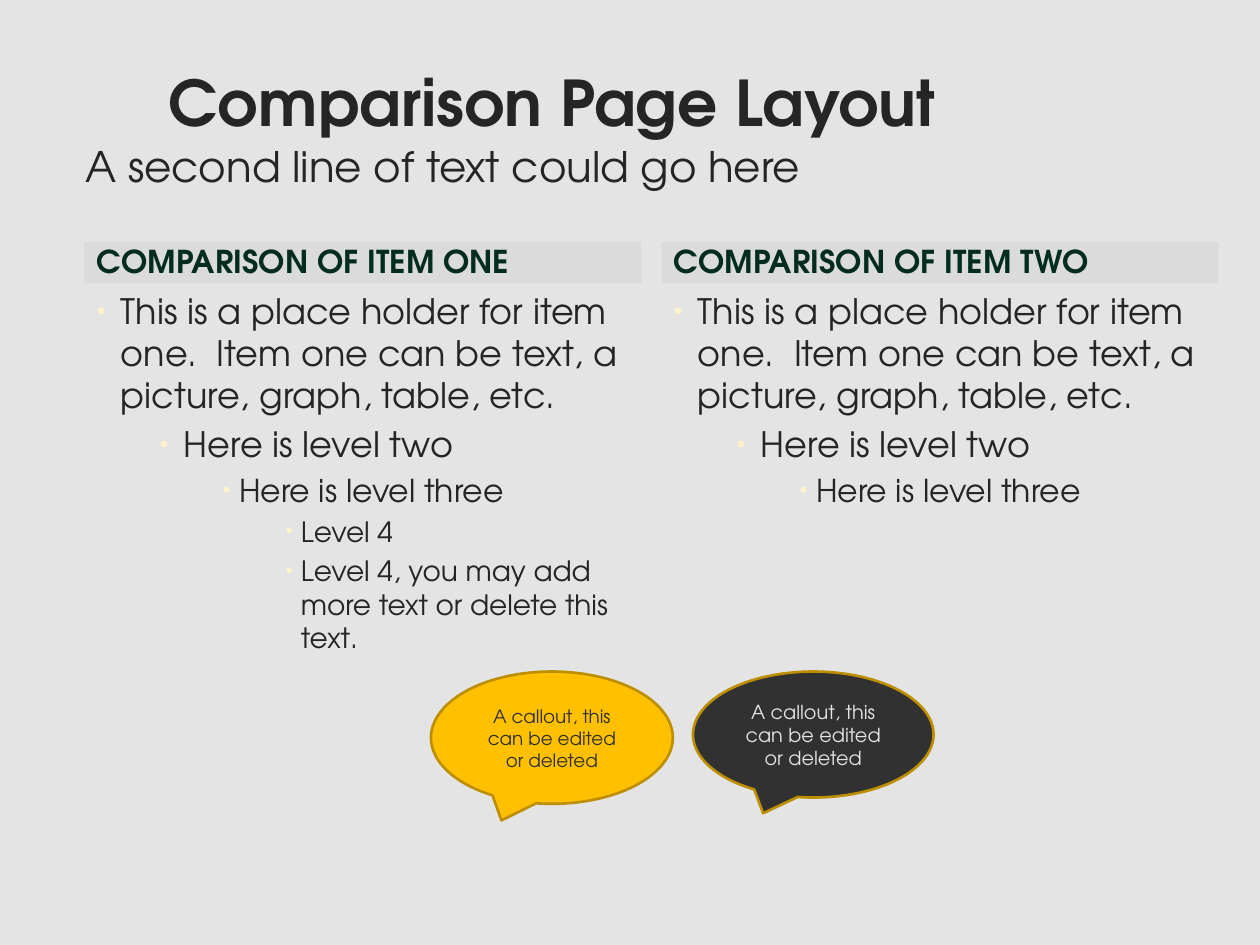
import pptx
import pptx.util
import pptx.dml.color
import pptx.enum.shapes
import pptx.enum.text
import pptx.oxml.ns
from lxml import etree

Inches, Pt = pptx.util.Inches, pptx.util.Pt
SHAPES = pptx.enum.shapes.MSO_SHAPE
ANCHOR = pptx.enum.text.MSO_ANCHOR
ALIGN = pptx.enum.text.PP_ALIGN
FONT, INK, GREEN, GOLD = "TeX Gyre Adventor", "252525", "012C1E", "BD8E00"
HEADER_HEIGHT = 0.33

# Size, left margin and hanging indent of each bullet level
LEVELS = [(20, 0.19, 0.19), (20, 0.69, 0.19), (18, 1.13, 0.13), (16, 1.62, 0.12)]
SHARED_POINTS = [
    (0, "This is a place holder for item one.  Item one can be text, a picture, graph, table, etc."),
    (1, "Here is level two"),
    (2, "Here is level three"),
]
EXTRA_POINTS = [
    (3, "Level 4"),
    (3, "Level 4, you may add more text or delete this text."),
]


def color(value):
    return pptx.dml.color.RGBColor.from_string(value)


def add_element(parent, tag, **attributes):
    return etree.SubElement(parent, pptx.oxml.ns.qn(tag), **attributes)


def format_font(paragraph, size, ink=INK, bold=False):
    font = paragraph.font
    font.name, font.size, font.bold = FONT, Pt(size), bold
    font.color.rgb = color(ink)


def set_frame(shape, anchor):
    frame = shape.text_frame
    frame.word_wrap = True
    frame.auto_size = pptx.enum.text.MSO_AUTO_SIZE.NONE
    frame.vertical_anchor = anchor
    return frame


def add_shape(slide, kind, box, fill):
    shape = slide.shapes.add_shape(kind, *map(Inches, box))
    shape.shadow.inherit = False
    shape.fill.solid()
    shape.fill.fore_color.rgb = color(fill)
    return shape


def add_title(slide, box):
    title = slide.shapes.title
    title.left, title.top, title.width, title.height = map(Inches, box)
    frame = set_frame(title, ANCHOR.MIDDLE)
    frame.text = "Comparison Page Layout"
    frame.paragraphs[0].alignment = ALIGN.LEFT
    format_font(frame.paragraphs[0], 36, bold=True)


def add_subtitle(slide, box):
    frame = set_frame(slide.shapes.add_textbox(*map(Inches, box)), ANCHOR.TOP)
    frame.text = "A second line of text could go here"
    format_font(frame.paragraphs[0], 24)


def add_header(slide, box, text):
    band = add_shape(slide, SHAPES.RECTANGLE, box, "CDCDCD")
    band.line.fill.background()
    fill_color = band.fill._xPr.find(".//" + pptx.oxml.ns.qn("a:srgbClr"))
    add_element(fill_color, "a:alpha", val="39000")
    frame = set_frame(band, ANCHOR.BOTTOM)
    frame.margin_top, frame.margin_bottom = Inches(0.3), Inches(0.05)
    frame.text = text
    frame.paragraphs[0].alignment = ALIGN.LEFT
    format_font(frame.paragraphs[0], 18, GREEN, bold=True)


def add_bullet(paragraph, margin, hanging):
    properties = paragraph._p.get_or_add_pPr()
    properties.set("marL", str(Inches(margin)))
    properties.set("indent", str(-Inches(hanging)))
    bullet_color = add_element(properties, "a:buClr")
    add_element(bullet_color, "a:srgbClr", val="FFF2CC")
    add_element(properties, "a:buSzPct", val="70000")
    add_element(properties, "a:buFont", typeface="Arial")
    add_element(properties, "a:buChar", char="•")


def add_points(slide, box, points):
    frame = set_frame(slide.shapes.add_textbox(*map(Inches, box)), ANCHOR.TOP)
    for index, (level, text) in enumerate(points):
        paragraph = frame.add_paragraph() if index else frame.paragraphs[0]
        size, margin, hanging = LEVELS[level]
        paragraph.text = text
        paragraph.level = level
        add_bullet(paragraph, margin, hanging)
        if index:
            paragraph.space_before = Pt(size * 0.2)
        format_font(paragraph, size)


def add_column(slide, box, heading, points):
    left, top, width, height = box
    add_header(slide, (left, top, width, HEADER_HEIGHT), heading)
    body = (left, top + HEADER_HEIGHT, width, height - HEADER_HEIGHT)
    add_points(slide, body, points)


def add_callout(slide, box, fill, ink, size):
    callout = add_shape(slide, SHAPES.OVAL_CALLOUT, box, fill)
    callout.line.color.rgb = color(GOLD)
    callout.line.width = Pt(1.5)
    frame = set_frame(callout, ANCHOR.MIDDLE)
    frame.text = "A callout, this can be edited or deleted"
    frame.paragraphs[0].alignment = ALIGN.CENTER
    format_font(frame.paragraphs[0], size, ink)


def main():
    presentation = pptx.Presentation()
    presentation.slide_width, presentation.slide_height = Inches(10), Inches(7.5)
    slide = presentation.slides.add_slide(presentation.slide_layouts[5])
    slide.background.fill.solid()
    slide.background.fill.fore_color.rgb = color("E4E4E4")

    # Title and second line
    add_title(slide, (1.24, 0.45, 8.34, 0.7))
    add_subtitle(slide, (0.58, 1.07, 9.02, 0.5))

    # Compared items
    add_column(slide, (0.67, 1.92, 4.42, 4.78), "COMPARISON OF ITEM ONE",
               SHARED_POINTS + EXTRA_POINTS)
    add_column(slide, (5.25, 1.92, 4.42, 4.78), "COMPARISON OF ITEM TWO",
               SHARED_POINTS)

    # Callouts
    add_callout(slide, (3.42, 5.33, 1.92, 1.05), "FFC000", "313131", 10.5)
    add_callout(slide, (5.5, 5.33, 1.91, 1), "313131", "E3E3E3", 11)

    presentation.save("out.pptx")


if __name__ == "__main__":
    main()
